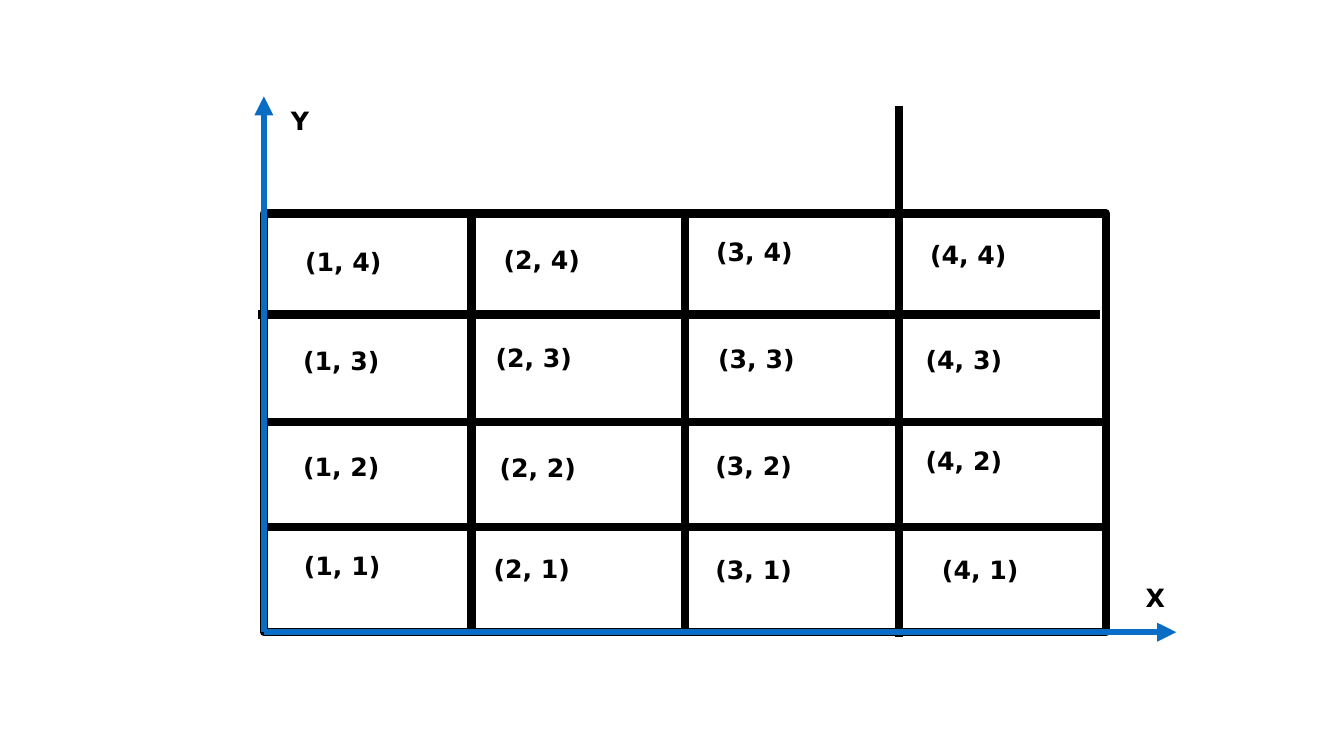
from dataclasses import dataclass

from lxml.etree import SubElement
from pptx import Presentation
from pptx.dml.color import RGBColor
from pptx.enum.shapes import MSO_CONNECTOR as Connector
from pptx.enum.shapes import MSO_SHAPE as Shape
from pptx.oxml.ns import qn
from pptx.util import Cm, Pt


@dataclass(frozen=True)
class Theme:
    ink: RGBColor = RGBColor(0x00, 0x00, 0x00)
    axis: RGBColor = RGBColor(0x09, 0x6C, 0xC5)
    font: str = "DejaVu Sans"
    text_size: float = 18
    grid_width: float = 6
    axis_width: float = 4.5


@dataclass(frozen=True)
class Box:
    """A region in centimetres."""
    left: float
    top: float
    width: float
    height: float


THEME = Theme()
GRID = Box(6.65, 5.38, 21.23, 10.55)

# Dividers as (position, start, end), measured from the grid's top left corner
COLUMN_LINES = [(5.23, 0, GRID.height), (10.62, 0, GRID.height), (16, -2.72, 10.67)]
ROW_LINES = [(2.54, -0.15, 21.08), (5.26, 0, GRID.width), (7.9, 0, GRID.width)]

# Label corners by grid row, top row first, from column 1 to column 4
CELL_LABELS = {
    4: [(0.79, 0.69), (5.79, 0.66), (11.15, 0.46), (16.54, 0.53)],
    3: [(0.74, 3.2), (5.59, 3.12), (11.2, 3.15), (16.43, 3.18)],
    2: [(0.74, 5.87), (5.69, 5.89), (11.13, 5.84), (16.43, 5.72)],
    1: [(0.76, 8.36), (5.54, 8.43), (11.13, 8.46), (16.84, 8.46)],
}
NARROW_CELLS = {(3, 2), (3, 3), (3, 4), (4, 3), (4, 4)}
WIDE, NARROW, AXIS_LABEL, LABEL_HEIGHT = 5.82, 3.86, 1.7, 1.5


def add_line(shapes, box, start, end, color, width, arrow=False):
    """Draw a line between two points measured from the box's corner."""
    line = shapes.add_connector(
        Connector.STRAIGHT,
        Cm(box.left + start[0]), Cm(box.top + start[1]),
        Cm(box.left + end[0]), Cm(box.top + end[1]),
    )
    line.line.color.rgb = color
    line.line.width = Pt(width)
    if arrow:
        SubElement(line.line._get_or_add_ln(), qn("a:tailEnd"), type="triangle")
    SubElement(line._element.spPr, qn("a:effectLst"))


def add_label(shapes, box, text, corner, width):
    label = shapes.add_textbox(
        Cm(box.left + corner[0]), Cm(box.top + corner[1]), Cm(width), Cm(LABEL_HEIGHT)
    )
    label.text_frame.word_wrap = True
    span = label.text_frame.paragraphs[0].add_run()
    span.text = text
    span.font.name = THEME.font
    span.font.size = Pt(THEME.text_size)
    span.font.bold = True
    span.font.color.rgb = THEME.ink


def draw_grid(shapes, box):
    frame = shapes.add_shape(
        Shape.RECTANGLE, Cm(box.left), Cm(box.top), Cm(box.width), Cm(box.height)
    )
    frame.shadow.inherit = False
    frame.fill.background()
    frame.line.color.rgb = THEME.ink
    frame.line.width = Pt(THEME.grid_width)
    for x, top, bottom in COLUMN_LINES:
        add_line(shapes, box, (x, top), (x, bottom), THEME.ink, THEME.grid_width)
    for y, left, right in ROW_LINES:
        add_line(shapes, box, (left, y), (right, y), THEME.ink, THEME.grid_width)


def draw_axes(shapes, box):
    origin = (0, box.height)
    for tip in [(0, -2.95), (22.99, box.height)]:
        add_line(shapes, box, origin, tip, THEME.axis, THEME.axis_width, arrow=True)
    add_label(shapes, box, "Y", (0.43, -2.84), AXIS_LABEL)
    add_label(shapes, box, "X", (21.97, 9.17), AXIS_LABEL)


def label_cells(shapes, box):
    for row, corners in CELL_LABELS.items():
        for column, corner in enumerate(corners, start=1):
            width = NARROW if (column, row) in NARROW_CELLS else WIDE
            add_label(shapes, box, f"({column}, {row})", corner, width)


def main():
    deck = Presentation()
    deck.slide_width, deck.slide_height = Cm(33.87), Cm(19.05)
    page = deck.slides.add_slide(deck.slide_layouts[6])
    diagram = page.shapes.add_group_shape().shapes
    draw_grid(diagram, GRID)
    draw_axes(diagram, GRID)
    label_cells(diagram, GRID)
    deck.save("out.pptx")


if __name__ == "__main__":
    main()
